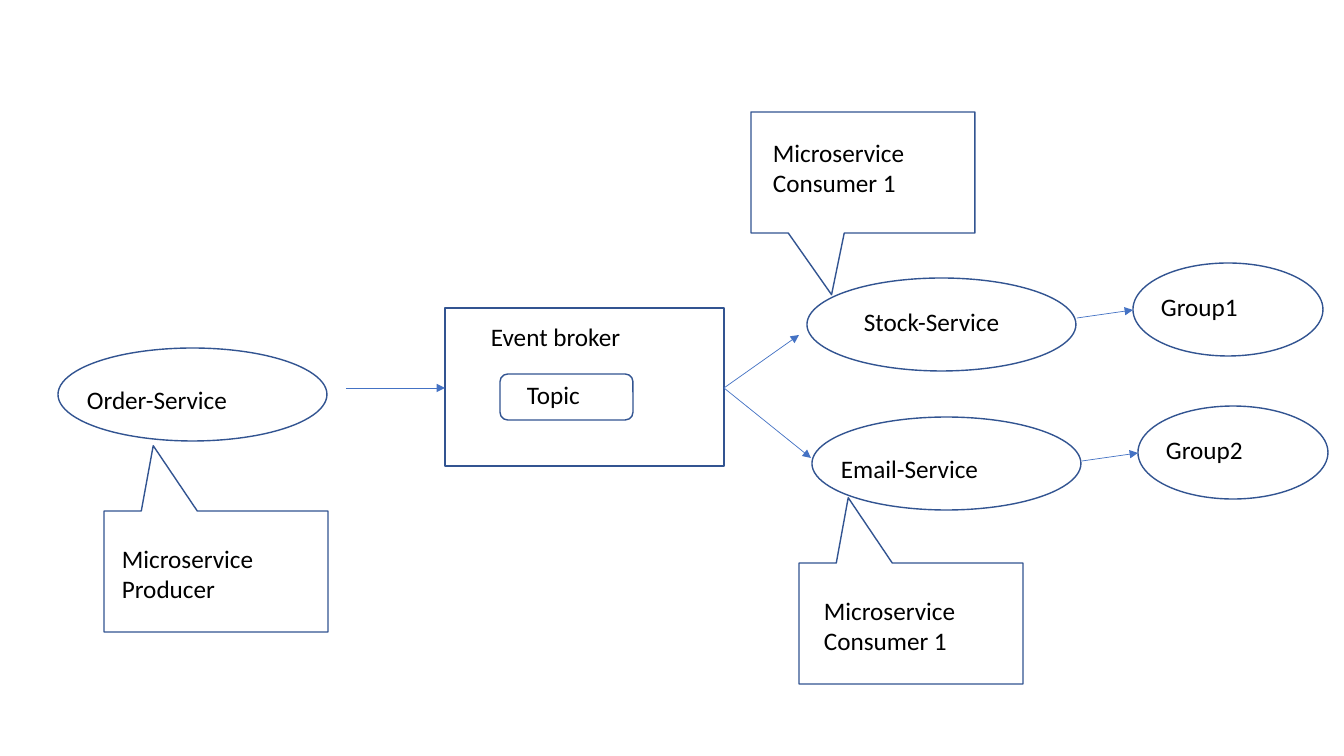
import lxml.etree
import pptx
import pptx.dml.color
import pptx.enum.shapes
import pptx.oxml.ns
import pptx.util
from dataclasses import dataclass

SHAPES = pptx.enum.shapes.MSO_SHAPE
SCALE = 914400 / 100.8


@dataclass(frozen=True)
class Theme:
    outline: str = "325491"
    arrow: str = "4472C4"
    text: str = "000000"
    font: str = "Calibri"
    text_size: float = 18
    outline_width: float = 1
    arrow_width: float = 0.5


def emu(*pixels):
    return [pptx.util.Emu(round(value * SCALE)) for value in pixels]


def color(code):
    return pptx.dml.color.RGBColor.from_string(code)


class Diagram:
    def __init__(self, slide, theme):
        self.slide = slide
        self.theme = theme

    def outline(self, kind, left, top, width, height, adjustments=()):
        shape = self.slide.shapes.add_shape(kind, *emu(left, top, width, height))
        shape.shadow.inherit = False
        shape.fill.background()
        shape.line.color.rgb = color(self.theme.outline)
        shape.line.width = pptx.util.Pt(self.theme.outline_width)
        for index, value in enumerate(adjustments):
            shape.adjustments[index] = value

    def label(self, text, left, top, width, height=40):
        box = self.slide.shapes.add_textbox(*emu(left, top, width, height))
        box.text_frame.word_wrap = True
        box.text_frame.text = text
        for para in box.text_frame.paragraphs:
            for span in para.runs:
                span.font.name = self.theme.font
                span.font.size = pptx.util.Pt(self.theme.text_size)
                span.font.color.rgb = color(self.theme.text)

    def arrow(self, start, end):
        connector = self.slide.shapes.add_connector(
            pptx.enum.shapes.MSO_CONNECTOR.STRAIGHT, *emu(*start, *end))
        connector.line.color.rgb = color(self.theme.arrow)
        connector.line.width = pptx.util.Pt(self.theme.arrow_width)
        line = connector.line._get_or_add_ln()
        lxml.etree.SubElement(line, pptx.oxml.ns.qn("a:tailEnd"), type="triangle")
        lxml.etree.SubElement(connector._element.spPr, pptx.oxml.ns.qn("a:effectLst"))

    def service(self, name, left, top, inset_x=19, inset_y=31):
        self.outline(SHAPES.OVAL, left, top, 269, 93)
        self.label(name, left + inset_x, top + inset_y, 251)

    def group(self, name, left, top):
        self.outline(SHAPES.OVAL, left, top, 190, 93)
        self.label(name, left + 18, top + 23, 108)

    def callout(self, text, left, top, inset_x, inset_y, pointer):
        self.outline(SHAPES.RECTANGULAR_CALLOUT, left, top, 224, 121, pointer)
        self.label(text, left + inset_x, top + inset_y, 195, 72)


deck = pptx.Presentation()
deck.slide_width, deck.slide_height = emu(1344, 756)
page = deck.slides.add_slide(deck.slide_layouts[6])
diagram = Diagram(page, Theme())

# Services
diagram.service("Order-Service", 58, 348)
diagram.service("Stock-Service", 807, 278, 47, 23)
diagram.service("Email-Service", 812, 417)

# Broker with its topic
diagram.outline(SHAPES.RECTANGLE, 445, 308, 279, 158)
diagram.label("Event broker", 481, 316, 251)
diagram.outline(SHAPES.ROUNDED_RECTANGLE, 500, 374, 133, 46)
diagram.label("Topic", 517, 374, 85)

# Role callouts
POINT_UP = (-0.28, -1.04)
POINT_DOWN = (-0.14, 1.01)
diagram.callout("Microservice Producer", 104, 511, 8, 27, POINT_UP)
diagram.callout("Microservice\nConsumer 1", 751, 112, 12, 20, POINT_DOWN)
diagram.callout("Microservice\nConsumer 1", 799, 563, 15, 27, POINT_UP)

# Consumer groups
diagram.group("Group1", 1133, 263)
diagram.group("Group2", 1138, 406)

# Message flow
BROKER_EXIT = (724, 388)
for start, end in (
    ((346, 388), (445, 388)),
    (BROKER_EXIT, (799, 335)),
    (BROKER_EXIT, (811, 458)),
    ((1077, 318), (1133, 310)),
    ((1082, 461), (1138, 453)),
):
    diagram.arrow(start, end)

deck.save("out.pptx")
